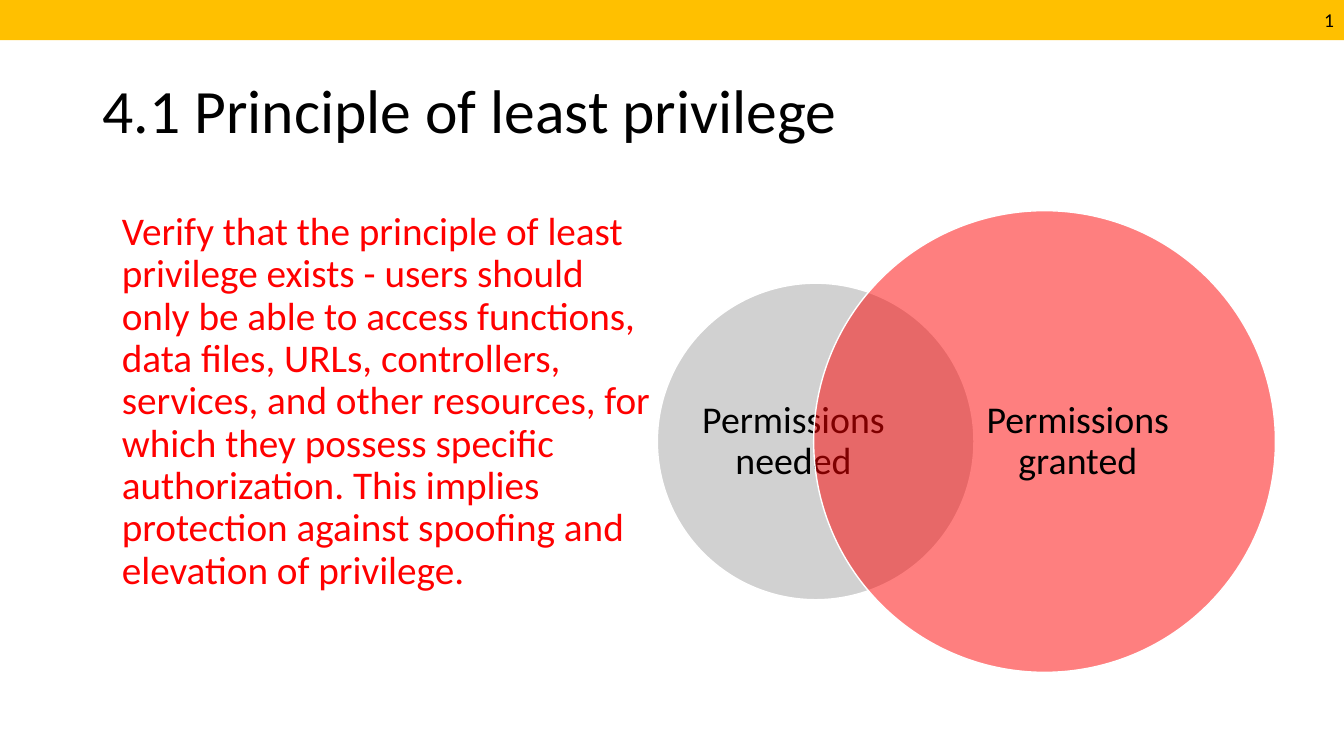
from dataclasses import dataclass
from lxml import etree
from pptx import Presentation
from pptx.dml.color import RGBColor
from pptx.enum.shapes import MSO_SHAPE
from pptx.enum.text import MSO_ANCHOR, PP_ALIGN
from pptx.oxml.ns import qn
from pptx.util import Inches, Pt

RECT, OVAL = MSO_SHAPE.RECTANGLE, MSO_SHAPE.OVAL
TOP, MIDDLE = MSO_ANCHOR.TOP, MSO_ANCHOR.MIDDLE
LEFT, CENTER, RIGHT = PP_ALIGN.LEFT, PP_ALIGN.CENTER, PP_ALIGN.RIGHT
WIDE, HIGH = 13.33, 7.5


@dataclass(frozen=True)
class Theme:
    font: str = "Calibri"
    ink: str = "000000"
    paper: str = "FFFFFF"
    band: str = "FFC000"
    alert: str = "FF0000"
    need: str = "A5A5A5"
    grant: str = "FE0000"
    title: int = 44
    body: int = 28
    label: int = 27
    number: int = 14


THEME = Theme()


def write(shape, text, size, color=THEME.ink, align=LEFT, anchor=MIDDLE,
          inset=0.1, spacing=0.9):
    frame = shape.text_frame
    frame.word_wrap = True
    frame.vertical_anchor = anchor
    frame.margin_left = frame.margin_right = Inches(inset)
    frame.margin_top = frame.margin_bottom = Inches(inset)
    para = frame.paragraphs[0]
    para.text = text
    para.alignment = align
    para.line_spacing = spacing
    para.font.name = THEME.font
    para.font.size = Pt(size)
    para.font.color.rgb = RGBColor.from_string(color)
    return para


def add_text(slide, box, *args, **style):
    shape = slide.shapes.add_textbox(*map(Inches, box))
    return write(shape, *args, **style)


def add_solid(slide, kind, box, color):
    shape = slide.shapes.add_shape(kind, *map(Inches, box))
    shape.shadow.inherit = False
    shape.fill.solid()
    shape.fill.fore_color.rgb = RGBColor.from_string(color)
    return shape


def add_band(slide, box):
    band = add_solid(slide, RECT, box, THEME.band)
    band.line.fill.background()
    write(band, "1", THEME.number, align=RIGHT, spacing=1.0)


def add_body(slide, box, text):
    para = add_text(slide, box, text, THEME.body, THEME.alert, anchor=TOP)
    props = para._p.get_or_add_pPr()
    props.set("marL", str(Inches(0.19)))
    props.set("indent", "0")


def add_circle(slide, box, color, text, shift, width):
    """Draw a half-clear disc; shift and width of its label are shares of the box."""
    left, top, size, _ = box
    disc = add_solid(slide, OVAL, box, color)
    tint = disc.fill._xPr.find(qn("a:solidFill"))[0]
    etree.SubElement(tint, qn("a:alpha"), val="50000")
    disc.line.color.rgb = RGBColor.from_string(THEME.paper)
    disc.line.width = Pt(1)
    label = (left + shift * size, top, width * size, size)
    add_text(slide, label, text, THEME.label, align=CENTER, inset=0)


def add_venn(slide, box):
    left, top, width, height = box
    # The larger disc fills the height and touches the right edge
    small = 3.14 / 4.58 * height
    need = (left, top + (height - small) / 2, small, small)
    grant = (left + width - height, top, height, height)
    add_circle(slide, need, THEME.need, "Permissions needed", 0.14, 0.58)
    add_circle(slide, grant, THEME.grant, "Permissions granted", 0.284, 0.576)


def build(slide):
    add_band(slide, (0, 0, WIDE, 0.4))
    # Title and text
    add_text(slide, (0.92, 0.4, 11.5, 1.45),
             "4.1 Principle of least privilege", THEME.title)
    add_body(slide, (0.92, 2, 5.67, 4.76),
             "Verify that the principle of least privilege exists - users "
             "should only be able to access functions, data files, URLs, "
             "controllers, services, and other resources, for which they "
             "possess specific authorization. This implies protection "
             "against spoofing and elevation of privilege.")
    # Overlapping permissions
    add_venn(slide, (6.52, 2.09, 6.13, 4.58))


def main():
    deck = Presentation()
    deck.slide_width, deck.slide_height = Inches(WIDE), Inches(HIGH)
    build(deck.slides.add_slide(deck.slide_layouts[6]))
    deck.save("out.pptx")


if __name__ == "__main__":
    main()
